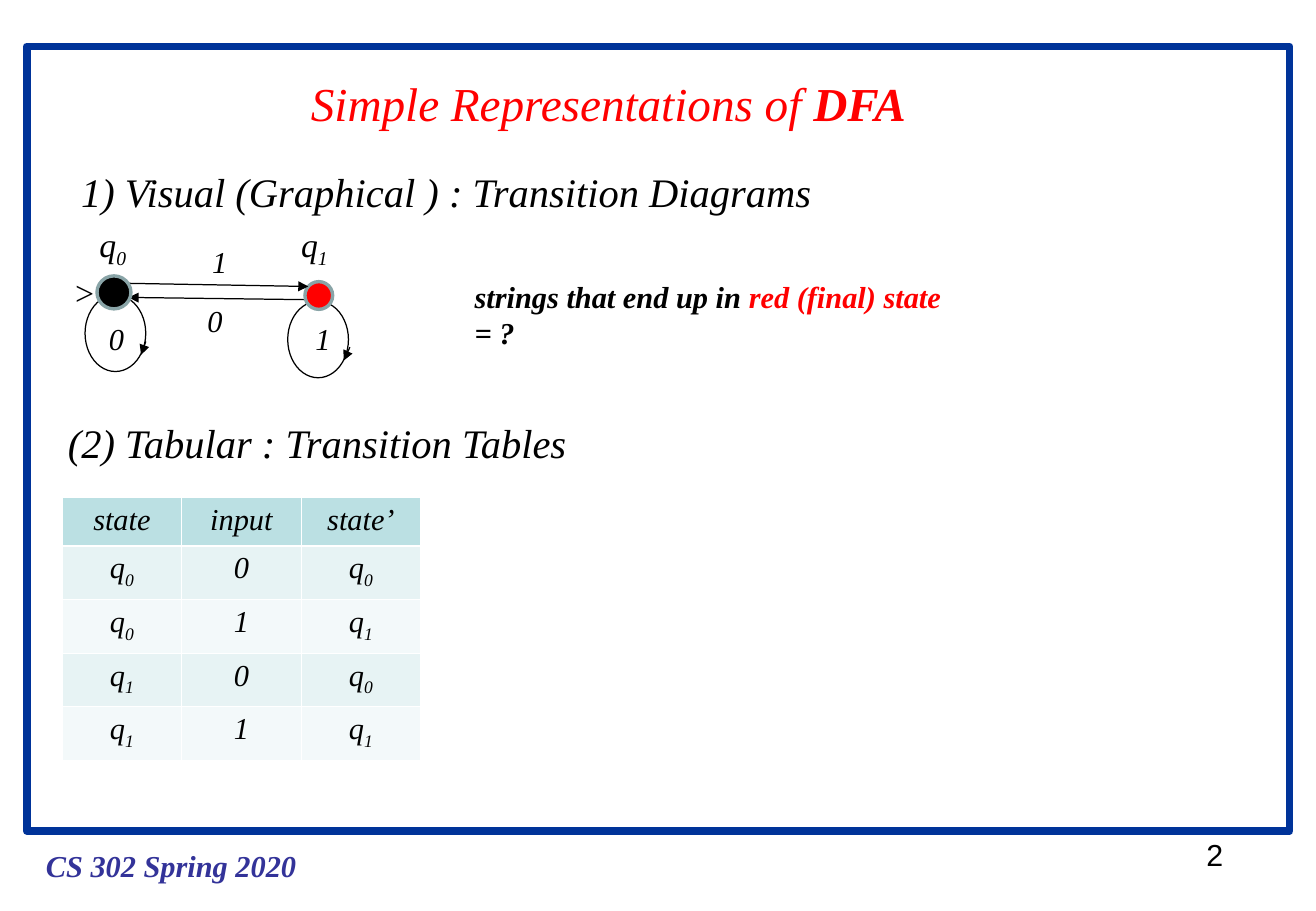
"""Build a slide on simple representations of deterministic finite automata."""
from lxml.etree import SubElement
from pptx import Presentation
from pptx.dml.color import RGBColor
from pptx.enum.shapes import MSO_CONNECTOR as Connector, MSO_SHAPE as Shape
from pptx.enum.text import MSO_ANCHOR as Anchor, MSO_AUTO_SIZE as AutoSize, PP_ALIGN as Align
from pptx.oxml.ns import qn
from pptx.util import Cm, Pt

COLORS = {
    "black": "000000", "red": "FF0000", "white": "FFFFFF", "frame": "003399",
    "footer": "333399", "rim": "89A4A7", "header": "BBE0E3",
    "odd": "E7F3F4", "even": "F3F9FA",
}
RGB = {name: RGBColor.from_string(value) for name, value in COLORS.items()}
SERIF = "Times New Roman"


def write(paragraph, size, *pieces, font=SERIF):
    """Add (text, colour, style) pieces; style letters are b, i and s for subscript."""
    for text, color, style in pieces:
        run = paragraph.add_run()
        run.text = text
        run.font.name = font
        run.font.size = Pt(size)
        run.font.bold = "b" in style
        run.font.italic = "i" in style
        run.font.color.rgb = RGB[color]
        if "s" in style:
            run.font._element.set("baseline", "-25000")


def add_label(box, size, *pieces, font=SERIF, wrap=False):
    """Add a text box at box (cm) and return its paragraph."""
    frame = slide.shapes.add_textbox(*map(Cm, box)).text_frame
    frame.word_wrap = wrap
    frame.auto_size = AutoSize.SHAPE_TO_FIT_TEXT
    write(frame.paragraphs[0], size, *pieces, font=font)
    return frame.paragraphs[0]


prs = Presentation()
prs.slide_width, prs.slide_height = Cm(27.53), Cm(19.05)
slide = prs.slides.add_slide(prs.slide_layouts[5])

border = slide.shapes.add_shape(Shape.RECTANGLE, Cm(0.56), Cm(0.97), Cm(26.42), Cm(16.41))
border.shadow.inherit = False
border.fill.background()
border.line.color.rgb = RGB["frame"]
border.line.width = Pt(4.5)

add_label((0.71, 17.6, 5.74, 1.02), 18, ("CS 302 Spring 2020", "footer", "bi"))
add_label((24.99, 17.37, 0.86, 1.02), 18, ("2", "black", ""), font="Arial")

title = slide.shapes.title
title.left, title.top, title.width, title.height = Cm(6.25), Cm(1.42), Cm(13.34), Cm(1.45)
title.text_frame.word_wrap = False
title.text_frame.auto_size = AutoSize.NONE
title.text_frame.vertical_anchor = Anchor.TOP
heading = title.text_frame.paragraphs[0]
heading.alignment = Align.LEFT
write(heading, 28, ("Simple Representations of ", "red", "i"), ("DFA", "red", "bi"))

visual = add_label((0.18, 2.87, 17.88, 1.78), 24,
                   (" Visual (Graphical ) : Transition Diagrams", "black", "i"), wrap=True)
tabular = add_label((-0.1, 8.1, 12.62, 1.78), 24,
                    ("(2) Tabular : Transition Tables", "black", "i"))
for section in (visual, tabular):
    section.line_spacing = 1.5
    section._p.get_or_add_pPr().set("marL", str(Cm(1.27)))
    section._p.get_or_add_pPr().set("indent", "0")
SubElement(visual._p.pPr, qn("a:buFont"), typeface="+mj-lt")
SubElement(visual._p.pPr, qn("a:buAutoNum"), type="arabicParenR")

states = [
    ("red", (6.38, 5.89, 0.58, 0.58), (6.02, 6.3, 1.27, 1.6),
     [(7.32, 7.26, 7.19, 7.54), (6.71, 6.27, 2.69, 6.22)]),
    ("black", (2.03, 5.77, 0.71, 0.69), (1.78, 6.17, 1.27, 1.6),
     [(3.05, 7.14, 2.95, 7.42), (2.41, 5.92, 6.45, 5.99)]),
]
for color, node_box, loop_box, arrows in states:
    loop = slide.shapes.add_shape(Shape.OVAL, *map(Cm, loop_box))
    loop.shadow.inherit = False
    loop.fill.background()
    loop.line.color.rgb = RGB["black"]
    loop.line.width = Pt(0.75)
    for ends in arrows:
        arrow = slide.shapes.add_connector(Connector.STRAIGHT, *map(Cm, ends))
        arrow.line.color.rgb = RGB["black"]
        arrow.line.width = Pt(0.75)
        SubElement(arrow.line._get_or_add_ln(), qn("a:tailEnd"), type="triangle")
        SubElement(arrow._element.spPr, qn("a:effectLst"))
    node = slide.shapes.add_shape(Shape.OVAL, *map(Cm, node_box))
    node.shadow.inherit = False
    node.fill.solid()
    node.fill.fore_color.rgb = RGB[color]
    node.line.color.rgb = RGB["rim"]
    node.line.width = Pt(2)

add_label((1.32, 5.56, 0.89, 1.12), 20, (">", "black", ""))
for symbol, left, top in [("1", 4.19, 4.95), ("0", 4.09, 6.2), ("0", 2.03, 6.58), ("1", 6.35, 6.58)]:
    add_label((left, top, 0.81, 1.02), 18, (symbol, "black", "i"))
for index, left in [("0", 1.83), ("1", 6.05)]:
    add_label((left, 4.55, 1.07, 1.22), 20, ("q", "black", "i"), (index, "black", "is"))

add_label((9.68, 5.69, 11.25, 1.02), 18, ("strings that end up in ", "black", "bi"),
          ("red (final) state ", "red", "bi"), ("= ?", "black", "bi"))

transitions = [
    ("state", "input", "state’"),
    ("q0", "0", "q0"),
    ("q0", "1", "q1"),
    ("q1", "0", "q0"),
    ("q1", "1", "q1"),
]
table = slide.shapes.add_table(5, 3, Cm(1.3), Cm(10.39), Cm(7.5), Cm(5.5)).table
for column in table.columns:
    column.width = Cm(2.5)
for r, values in enumerate(transitions):
    table.rows[r].height = Cm(1.12 if r else 1.02)
    for c, value in enumerate(values):
        cell = table.cell(r, c)
        cell.fill.solid()
        cell.fill.fore_color.rgb = RGB["header" if r == 0 else "odd" if r % 2 else "even"]
        entry = cell.text_frame.paragraphs[0]
        entry.alignment = Align.CENTER
        if value.startswith("q"):
            write(entry, 18, ("q", "black", "i"), (value[1:], "black", "is"))
        else:
            write(entry, 18, (value, "black", "i"))
        cell_format = cell._tc.get_or_add_tcPr()
        for position, side in enumerate(("lnL", "lnR", "lnT", "lnB")):
            under_header = (r, side) in ((0, "lnB"), (1, "lnT"))
            edge = SubElement(cell_format, qn(f"a:{side}"), w=str(Pt(1.47 if under_header else 0.45)))
            edge_fill = SubElement(edge, qn("a:solidFill"))
            SubElement(edge_fill, qn("a:srgbClr"), val=COLORS["white"])
            cell_format.insert(position, edge)

prs.save("out.pptx")
